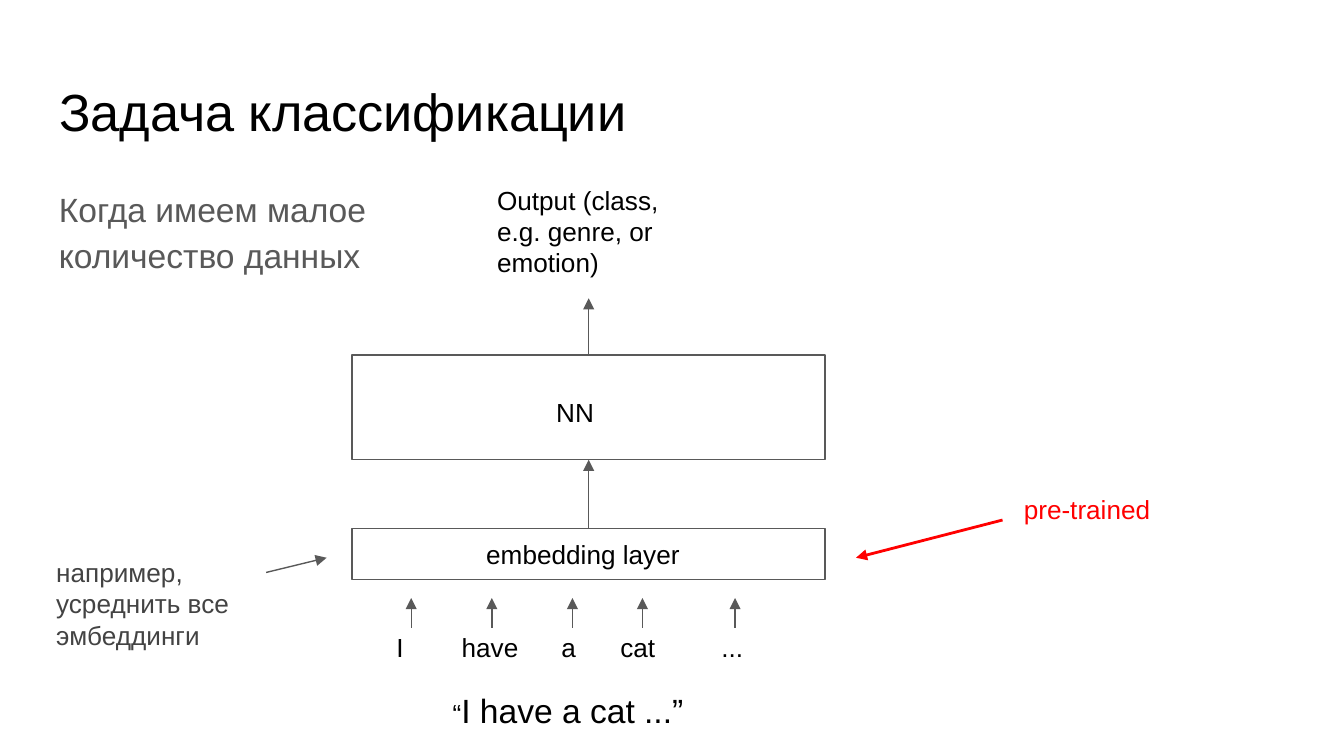
"""Build a slide on text classification with a pre-trained embedding layer."""
from lxml.etree import SubElement
from pptx import Presentation
from pptx.dml.color import RGBColor
from pptx.enum.shapes import MSO_CONNECTOR as Link, MSO_SHAPE as Kind
from pptx.enum.text import MSO_ANCHOR as Anchor, MSO_AUTO_SIZE as Fit, PP_ALIGN as Align
from pptx.oxml.ns import qn
from pptx.util import Pt

BLACK = RGBColor(0, 0, 0)
WHITE = RGBColor(255, 255, 255)
GRAY = RGBColor(0x59, 0x59, 0x59)
DARK = RGBColor(0x43, 0x43, 0x43)
RED = RGBColor(255, 0, 0)

TITLE = "Задача классификации"
LABELS = [
    ((290.9, 205.2, 64.8, 27.4), "NN", {}),
    ((253.4, 281.5, 139, 31.7), "embedding layer", {}),
    ((24.5, 90.7, 211, 56.2), "Когда имеем малое количество данных",
     dict(size=18, color=GRAY, lead=1.15, after=16)),
    ((541.4, 257, 168.5, 51.8), "pre-trained", dict(color=RED)),
    ((259.2, 91.4, 113, 56.2), "Output (class, e.g. genre, or emotion)", {}),
    ((23, 290.9, 131.8, 82.1), "например, усреднить все эмбеддинги", dict(color=DARK)),
]
QUOTE = [("“", 14), ("I have a cat ...”", 18)]
WORDS = ["I", "have", "a", "cat", "..."]
STOPS = [35, 88.5, 120, 174.2]
TIPS = [220.3, 263.5, 306.7, 344.2, 393.8]

LEFT, WIDE, MID = 188.6, 253.4, 315.4
NN = (190.1, 56.2)
EMBED = (283, 27.4)
ARROWS = [
    (MID, NN[0], MID, 159.8, GRAY, 0.75),
    (MID, EMBED[0], MID, sum(NN), GRAY, 0.75),
    (537.1, 278.6, 458.6, 298.8, RED, 1.5),
    (142.6, 306.7, 175, 298.8, GRAY, 0.75),
] + [(x, 336.2, x, 320.4, GRAY, 0.75) for x in TIPS]


def write(shape, text, size=14, color=BLACK, lead=None, after=None, stops=()):
    frame = shape.text_frame
    frame.word_wrap = True
    frame.auto_size = Fit.NONE
    frame.vertical_anchor = Anchor.TOP
    frame.margin_left = frame.margin_right = Pt(7.2)
    frame.margin_top = frame.margin_bottom = Pt(7.2)
    par = frame.paragraphs[0]
    par.alignment = Align.LEFT
    if lead:
        par.line_spacing = lead
    if after:
        par.space_after = Pt(after)
    if stops:
        tabs = SubElement(par._p.get_or_add_pPr(), qn("a:tabLst"))
        for stop in stops:
            SubElement(tabs, qn("a:tab"), pos=str(Pt(stop)), algn="l")
    for part, points in [(text, size)] if isinstance(text, str) else text:
        run = par.add_run()
        run.text = part
        run.font.name = "Arial"
        run.font.size = Pt(points)
        run.font.color.rgb = color


def label(slide, spot, text, **form):
    write(slide.shapes.add_textbox(*map(Pt, spot)), text, **form)


def block(slide, top, high):
    box = slide.shapes.add_shape(Kind.RECTANGLE, *map(Pt, (LEFT, top, WIDE, high)))
    box.shadow.inherit = False
    box.fill.solid()
    box.fill.fore_color.rgb = WHITE
    box.line.color.rgb = GRAY
    box.line.width = Pt(0.75)


def arrow(slide, *ends, color, width):
    link = slide.shapes.add_connector(Link.STRAIGHT, *map(Pt, ends))
    link.line.color.rgb = color
    link.line.width = Pt(width)
    SubElement(link.line._get_or_add_ln(), qn("a:tailEnd"), type="triangle")
    SubElement(link._element.spPr, qn("a:effectLst"))


def main():
    deck = Presentation()
    deck.slide_width, deck.slide_height = Pt(720), Pt(405)
    slide = deck.slides.add_slide(deck.slide_layouts[5])
    title = slide.shapes.title
    title.left, title.top, title.width, title.height = map(Pt, (24.5, 35.3, 671, 45.4))
    write(title, TITLE, size=28)
    for top, high in (NN, EMBED):
        block(slide, top, high)
    for *ends, color, width in ARROWS:
        arrow(slide, *ends, color=color, width=width)
    for spot, text, form in LABELS:
        label(slide, spot, text, **form)
    label(slide, (235.4, 362.2, 187.2, 56.2), QUOTE)
    label(slide, (205.2, 331.2, 253.4, 45.4), "\t".join(WORDS), stops=STOPS)
    deck.save("out.pptx")


if __name__ == "__main__":
    main()
